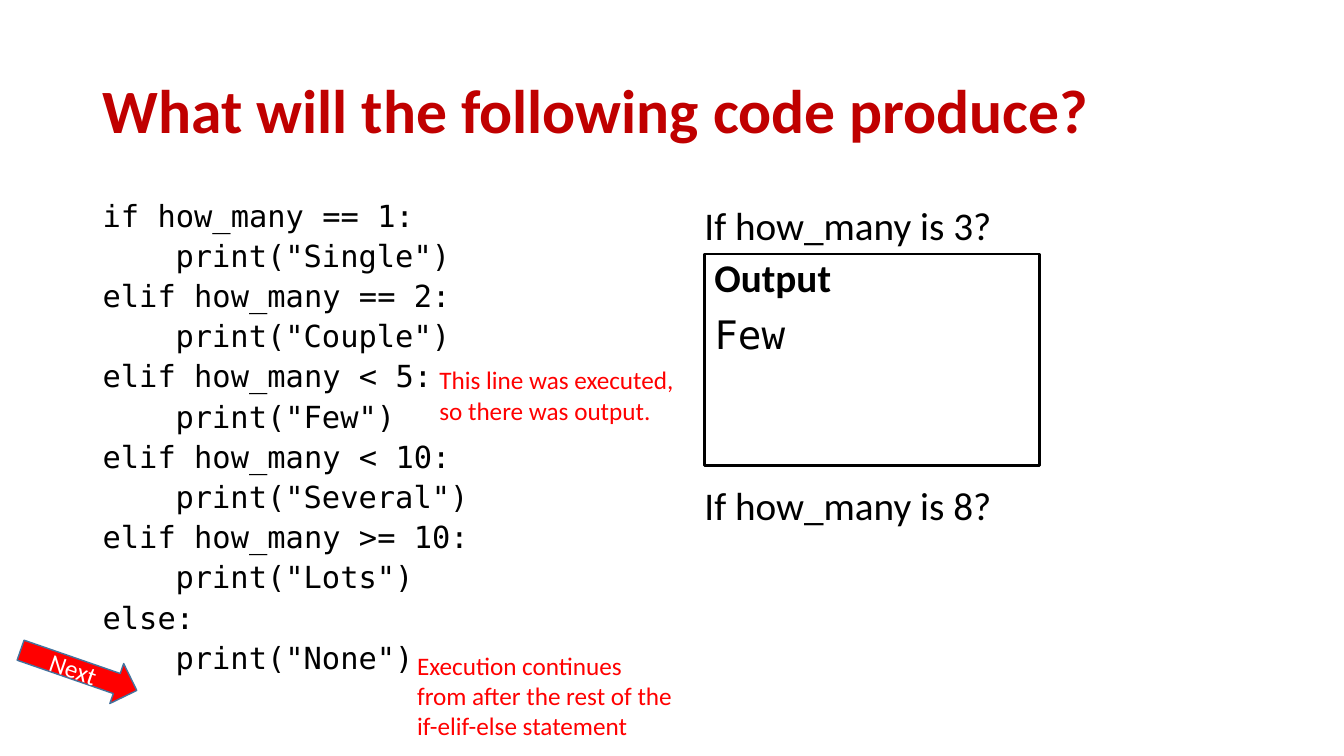
from dataclasses import dataclass

import pptx
import pptx.dml.color
import pptx.enum.shapes
import pptx.enum.text
import pptx.util

SANS = "Calibri"
MONO = "DejaVu Sans Mono"
BLACK, WHITE, RED, DARK_RED, BLUE = "000000", "FFFFFF", "FF0000", "C00000", "43739E"
LEFT = pptx.enum.text.PP_ALIGN.LEFT
CENTER = pptx.enum.text.PP_ALIGN.CENTER
TOP = pptx.enum.text.MSO_ANCHOR.TOP
MIDDLE = pptx.enum.text.MSO_ANCHOR.MIDDLE
CODE_SIZE = 21.7
CODE_INDENT = pptx.util.Pt(4 * 0.6 * CODE_SIZE)

CODE_BRANCHES = [
    ("if how_many == 1:", 'print("Single")'),
    ("elif how_many == 2:", 'print("Couple")'),
    ("elif how_many < 5:", 'print("Few")'),
    ("elif how_many < 10:", 'print("Several")'),
    ("elif how_many >= 10:", 'print("Lots")'),
    ("else:", 'print("None")'),
]


@dataclass(frozen=True)
class Area:
    """Left, top, width and height in percent of the slide."""

    left: float
    top: float
    width: float
    height: float


@dataclass(frozen=True)
class Note:
    text: str
    area: Area


TITLE_AREA = Area(6.9, 5.33, 86.25, 19.33)
CODE_AREA = Area(6.9, 26.67, 36, 63.47)
QUESTION_AREA = Area(51.68, 26.67, 36, 63.47)
OUTPUT_AREA = Area(52.42, 33.6, 24.9, 28)
ARROW_AREA = Area(1.28, 85.87, 9.15, 5.6)
NOTES = [
    Note("This line was executed, so there was output.", Area(31.95, 47.6, 20.48, 9.47)),
    Note(
        "Execution continues from after the rest of the if-elif-else statement",
        Area(30.3, 85.33, 20.48, 13.47),
    ),
]

deck = pptx.Presentation()
deck.slide_width = pptx.util.Inches(13.333)
deck.slide_height = pptx.util.Inches(7.5)


def color(value: str) -> pptx.dml.color.RGBColor:
    return pptx.dml.color.RGBColor.from_string(value)


def measure(area: Area) -> tuple[int, int, int, int]:
    return (
        round(deck.slide_width * area.left / 100),
        round(deck.slide_height * area.top / 100),
        round(deck.slide_width * area.width / 100),
        round(deck.slide_height * area.height / 100),
    )


def prepare_frame(box, anchor=TOP) -> None:
    frame = box.text_frame
    frame.word_wrap = True
    frame.auto_size = pptx.enum.text.MSO_AUTO_SIZE.NONE
    frame.vertical_anchor = anchor


def add_text_box(page, area: Area):
    box = page.shapes.add_textbox(*measure(area))
    prepare_frame(box)
    return box


def add_preset(page, kind, area: Area, line: str, width: float, anchor=TOP):
    box = page.shapes.add_shape(kind, *measure(area))
    box.shadow.inherit = False
    box.line.color.rgb = color(line)
    box.line.width = pptx.util.Pt(width)
    prepare_frame(box, anchor)
    return box


def write(
    box,
    text: str,
    *,
    size: float = 28,
    font: str = SANS,
    ink: str = BLACK,
    bold: bool = False,
    align=LEFT,
    spacing: float = 1.0,
    before: float = 0,
    indent: int = 0,
) -> None:
    frame = box.text_frame
    para = frame.add_paragraph() if frame.text else frame.paragraphs[0]
    para.alignment = align
    para.line_spacing = spacing
    para.space_before = pptx.util.Pt(before)
    if indent:
        para._p.get_or_add_pPr().set("marL", str(indent))
    span = para.add_run()
    span.text = text
    span.font.name = font
    span.font.size = pptx.util.Pt(size)
    span.font.bold = bold
    span.font.color.rgb = color(ink)


def add_title(page) -> None:
    title = page.shapes.title
    title.left, title.top, title.width, title.height = measure(TITLE_AREA)
    prepare_frame(title, MIDDLE)
    write(title, "What will the following code produce?",
          size=44, ink=DARK_RED, bold=True, spacing=0.9)


def add_code(page) -> None:
    box = add_text_box(page, CODE_AREA)
    for condition, action in CODE_BRANCHES:
        for text, indent in ((condition, 0), (action, CODE_INDENT)):
            write(box, text, size=CODE_SIZE, font=MONO,
                  spacing=0.7, before=10.5, indent=indent)


def add_questions(page) -> None:
    box = add_text_box(page, QUESTION_AREA)
    write(box, "If how_many is 3?", spacing=0.9, before=10)
    write(box, "If how_many is 8?", spacing=0.9, before=170)


def add_output(page) -> None:
    box = add_preset(page, pptx.enum.shapes.MSO_SHAPE.RECTANGLE, OUTPUT_AREA, BLACK, 2)
    box.fill.background()
    write(box, "Output", bold=True, spacing=0.9, before=10)
    write(box, "Few", font=MONO, spacing=0.9, before=10)


def add_next_arrow(page) -> None:
    arrow = add_preset(page, pptx.enum.shapes.MSO_SHAPE.RIGHT_ARROW,
                       ARROW_AREA, BLUE, 1, MIDDLE)
    arrow.fill.solid()
    arrow.fill.fore_color.rgb = color(RED)
    arrow.rotation = 19.1
    write(arrow, "Next", size=18, ink=WHITE, align=CENTER)


def main() -> None:
    page = deck.slides.add_slide(deck.slide_layouts[5])
    add_questions(page)
    add_title(page)
    add_code(page)
    add_output(page)
    add_next_arrow(page)
    for note in NOTES:
        write(add_text_box(page, note.area), note.text, size=18, ink=RED)
    deck.save("out.pptx")


if __name__ == "__main__":
    main()
